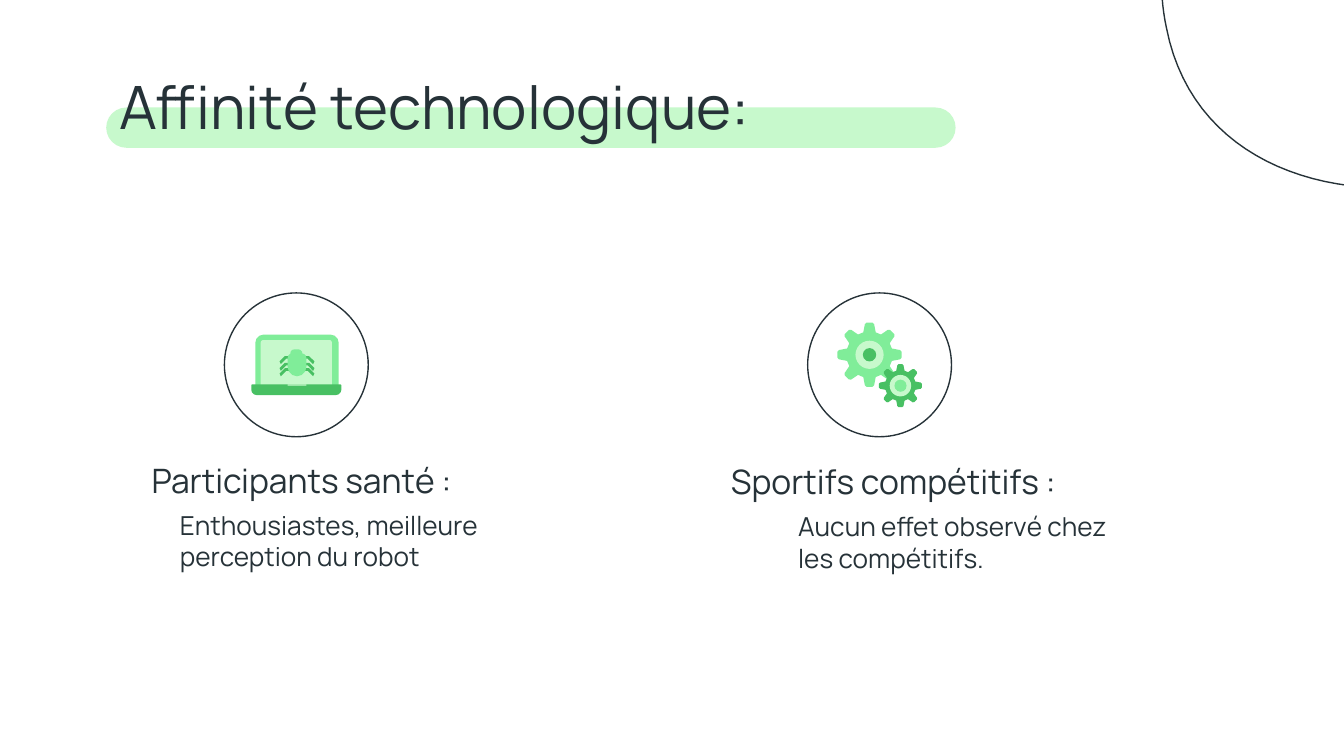
import math
from pptx import Presentation
from pptx.dml.color import RGBColor
from pptx.enum.shapes import MSO_SHAPE
from pptx.enum.text import MSO_ANCHOR, PP_ALIGN
from pptx.util import Inches, Pt

ELLIPSE = MSO_SHAPE.OVAL
RECTANGLE = MSO_SHAPE.RECTANGLE
PILL = MSO_SHAPE.ROUNDED_RECTANGLE
ROUND_ENDS = MSO_SHAPE.ROUND_2_SAME_RECTANGLE
TOP = MSO_ANCHOR.TOP
LEFT = PP_ALIGN.LEFT

INK = RGBColor(0x26, 0x32, 0x38)
PALE = RGBColor(0xC7, 0xF9, 0xCC)
GREEN = RGBColor(0x80, 0xED, 0x99)
DARK = RGBColor(0x48, 0xC0, 0x63)

TEXTS = [
    ("Affinité technologique:", (0.79, 0.42, 8.43, 0.67), 32),
    ("Participants santé :", (1.03, 3.32, 3.2, 0.31), 18),
    ("Enthousiastes, meilleure perception du robot", (1.24, 3.69, 2.61, 0.93), 14),
    ("Sportifs compétitifs :", (5.34, 3.33, 3.33, 0.47), 18),
    ("Aucun effet observé chez les compétitifs.", (5.84, 3.7, 2.61, 0.93), 14),
]
ICON_RINGS = [(1.67, 2.18, 1.07, 1.07), (6.01, 2.18, 1.07, 1.07)]

BLOB_START = (12.11, -1.85)
BLOB_CURVES = [
    ((12.03, -1.85), (11.93, -1.82), (11.83, -1.77)),
    ((11.44, -1.57), (11.41, -1.13), (10.88, -1.11)),
    ((10.83, -1.1), (10.78, -1.1), (10.73, -1.1)),
    ((10.48, -1.1), (10.24, -1.13), (10.02, -1.13)),
    ((9.75, -1.13), (9.48, -1.09), (9.18, -0.93)),
    ((8.68, -0.66), (8.58, -0.26), (8.68, 0.21)),
    ((8.84, 1.02), (9.54, 1.4), (10.34, 1.4)),
    ((10.69, 1.4), (11.05, 1.33), (11.39, 1.2)),
    ((12.49, 0.78), (13, -0.2), (12.75, -1.17)),
    ((12.68, -1.46), (12.47, -1.85), (12.11, -1.85)),
]
CURVE_STEPS = 24

GEARS = [
    {"center": (6.47, 2.64), "radius": 0.24, "fill": GREEN,
     "discs": [(0.21, PALE), (0.1, DARK)]},
    {"center": (6.7, 2.87), "radius": 0.16, "fill": DARK,
     "discs": [(0.16, PALE), (0.09, GREEN)]},
]
TEETH = 8
TOOTH = [(-0.27, 0.72), (-0.15, 0.96), (-0.09, 1), (0.09, 1), (0.15, 0.96), (0.27, 0.72)]

LAPTOP_SCREEN = [
    (ROUND_ENDS, (1.9, 2.49, 0.62, 0.42), GREEN, (0.14, 0)),
    (ROUND_ENDS, (1.94, 2.53, 0.53, 0.38), PALE, (0.05, 0)),
]
LAPTOP_FRONT = [
    (ROUND_ENDS, (2.16, 2.6, 0.09, 0.06), GREEN, (0.5, 0)),
    (ROUND_ENDS, (2.14, 2.63, 0.14, 0.17), GREEN, (0.25, 0.5)),
    (ROUND_ENDS, (1.87, 2.86, 0.67, 0.08), DARK, (0.1, 0.5)),
    (RECTANGLE, (2.14, 2.86, 0.14, 0.01), PALE, ()),
]
BUG_AXIS = 2.21
BUG_LEG_TOPS = [2.65, 2.7, 2.74]
BUG_LEG = [(0.02, 0), (0.09, 0), (0.13, 0.04), (0.12, 0.06), (0.08, 0.02), (0.02, 0.02)]


def style(shape, fill=None, line=None):
    shape.shadow.inherit = False
    if fill is None:
        shape.fill.background()
    else:
        shape.fill.solid()
        shape.fill.fore_color.rgb = fill
    if line is None:
        shape.line.fill.background()
    else:
        shape.line.color.rgb = line
        shape.line.width = Pt(0.75)


def add_preset(shapes, kind, box, fill=None, adjustments=(), line=None):
    shape = shapes.add_shape(kind, *map(Inches, box))
    for index, value in enumerate(adjustments):
        shape.adjustments[index] = value
    style(shape, fill, line)


def add_outline(shapes, points, fill=None, line=None):
    corners = [(Inches(x), Inches(y)) for x, y in points]
    builder = shapes.build_freeform(*corners[0])
    builder.add_line_segments(corners[1:], close=True)
    style(builder.convert_to_shape(), fill, line)


def add_text(shapes, text, box, size):
    frame = shapes.add_textbox(*map(Inches, box)).text_frame
    margin = Inches(0.1)
    frame_format = {"word_wrap": True, "vertical_anchor": TOP, "margin_left": margin,
                    "margin_right": margin, "margin_top": margin, "margin_bottom": margin}
    for name, value in frame_format.items():
        setattr(frame, name, value)
    paragraph = frame.paragraphs[0]
    paragraph.alignment = LEFT
    run = paragraph.add_run()
    run.text = text
    for name, value in {"name": "Manrope", "size": Pt(size)}.items():
        setattr(run.font, name, value)
    run.font.color.rgb = INK


def blob_points():
    points = [BLOB_START]
    for curve in BLOB_CURVES:
        controls = (points[-1], *curve)
        for step in range(1, CURVE_STEPS + 1):
            t = step / CURVE_STEPS
            weights = [math.comb(3, k) * t**k * (1 - t)**(3 - k) for k in range(4)]
            points.append(tuple(sum(w * p[axis] for w, p in zip(weights, controls))
                                for axis in (0, 1)))
    return points


def add_gear(shapes, center, radius, fill, discs):
    x, y = center
    points = []
    for tooth in range(TEETH):
        for offset, reach in TOOTH:
            angle = tooth * 2 * math.pi / TEETH + offset
            points.append((x + radius * reach * math.cos(angle),
                           y + radius * reach * math.sin(angle)))
    add_outline(shapes, points, fill)
    for size, color in discs:
        add_preset(shapes, ELLIPSE, (x - size / 2, y - size / 2, size, size), color)


def add_laptop(shapes):
    for part in LAPTOP_SCREEN:
        add_preset(shapes, *part)
    for side in (-1, 1):
        for top in BUG_LEG_TOPS:
            add_outline(shapes, [(BUG_AXIS + side * x, top + y) for x, y in BUG_LEG], DARK)
    for part in LAPTOP_FRONT:
        add_preset(shapes, *part)


def main():
    presentation = Presentation()
    presentation.slide_width = Inches(10)
    presentation.slide_height = Inches(10) * 9 // 16
    slide = presentation.slides.add_slide(presentation.slide_layouts[6])
    shapes = slide.shapes
    add_preset(shapes, PILL, (0.79, 0.8, 6.32, 0.3), PALE, (0.5,))
    add_outline(shapes, blob_points(), line=INK)
    for text in TEXTS:
        add_text(shapes, *text)
    for box in ICON_RINGS:
        add_preset(shapes, ELLIPSE, box, line=INK)
    for gear in GEARS:
        add_gear(shapes, **gear)
    add_laptop(shapes)
    presentation.save("out.pptx")


if __name__ == "__main__":
    main()
